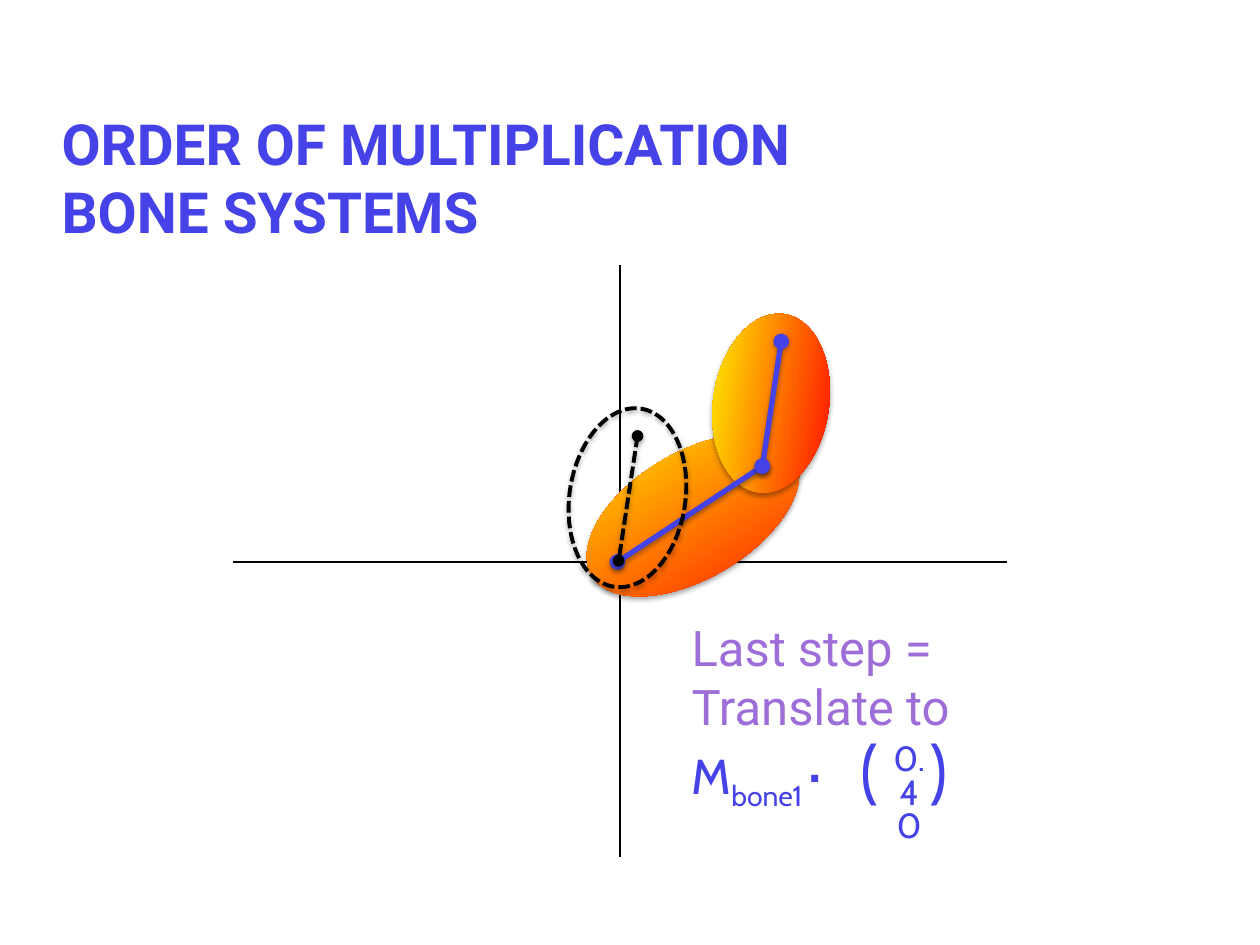
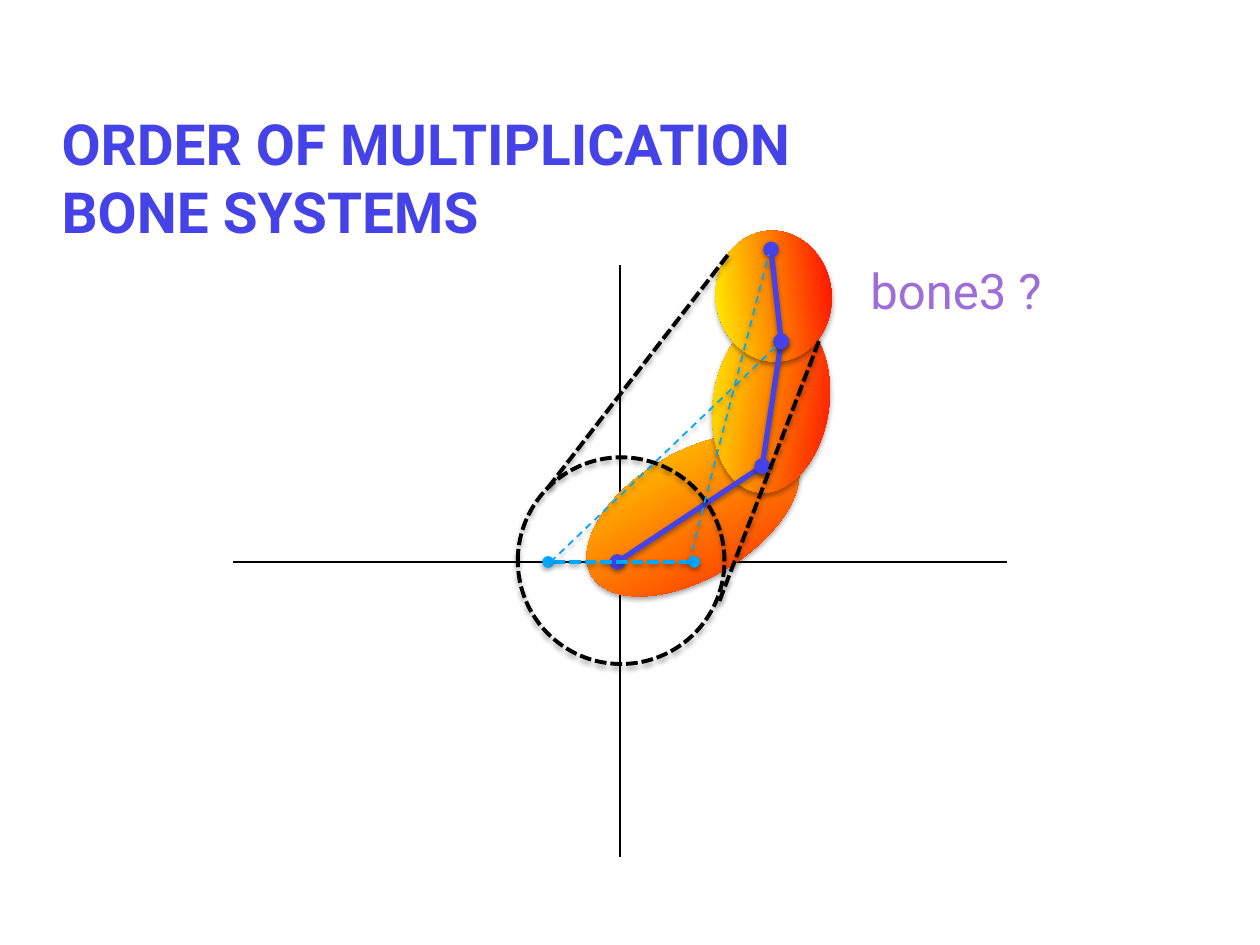
from lxml import etree
from pptx import Presentation
from pptx.dml.color import RGBColor
from pptx.enum.dml import MSO_LINE
from pptx.enum.shapes import MSO_CONNECTOR, MSO_SHAPE
from pptx.enum.text import MSO_ANCHOR, PP_ALIGN
from pptx.oxml.ns import qn
from pptx.util import Inches, Pt

OVAL, LINE = MSO_SHAPE.OVAL, MSO_CONNECTOR.STRAIGHT
SYS, DASH = MSO_LINE.SQUARE_DOT, MSO_LINE.DASH
TOP, MID = MSO_ANCHOR.TOP, MSO_ANCHOR.MIDDLE
LEFT, MIDDLE = PP_ALIGN.LEFT, PP_ALIGN.CENTER

# Slide grid: 10 columns by 7.5 rows
WIDTH, HEIGHT = Inches(10), Inches(7.5)
COL, ROW = WIDTH / 10, HEIGHT / 7.5

BLUE, PURPLE, SKY, BLACK = "4543E8", "9D6DD8", "00A7FF", "000000"
RED, YELLOW = "FF0000", "FFFF00"
HEAD, MATH = "Roboto", "Cabin"

# Plot box, and the origin where its axes cross
PLOT = (1.85, 2.1, 6.14, 4.7)
ORIGIN = (4.92, 4.46)

# Joints and limbs, measured from the origin
ROOT, ELBOW, WRIST, TIP = (-.02, 0), (1.13, -.76), (1.28, -1.75), (1.2, -2.48)
LOWER = ((.58, -.37), (1.87, 1), 329.2)
UPPER = ((1.2, -1.26), (1.43, .92), 278.5)
HAND = ((1.22, -2.11), (1.04, .92), 263.5)


def color(code):
    return RGBColor.from_string(code)


def grid(x, y):
    return round(x * COL), round(y * ROW)


def move(point, by, sign=1):
    return point[0] + sign * by[0], point[1] + sign * by[1]


def effect(shape, alpha=0, dist=1.6):
    """Give the shape a soft shadow below it, or none if alpha is 0."""
    props = shape._element.spPr
    for old in props.findall(qn("a:effectLst")):
        props.remove(old)
    effects = etree.SubElement(props, qn("a:effectLst"))
    if alpha:
        shade = etree.SubElement(effects, qn("a:outerShdw"), blurRad=str(Pt(3.1)),
                                 dist=str(Pt(dist)), dir="5400000", rotWithShape="0")
        tint = etree.SubElement(shade, qn("a:srgbClr"), val=BLACK)
        etree.SubElement(tint, qn("a:alpha"), val=str(alpha * 1000))


def text(slide, box, lines, size=28, font=HEAD, fill=BLUE, bold=False,
         align=LEFT, anchor=TOP, space=None, bottom=.05):
    """Each line is a list of (words, run attributes, size or None)."""
    frame = slide.shapes.add_textbox(*grid(*box[:2]), *grid(*box[2:])).text_frame
    frame.word_wrap = True
    frame.vertical_anchor = anchor
    frame.margin_bottom = round(bottom * ROW)
    for i, line in enumerate(lines):
        para = frame.add_paragraph() if i else frame.paragraphs[0]
        para.alignment, para.line_spacing = align, space
        for words, attrs, own in [(line, {}, None)] if isinstance(line, str) else line:
            run = para.add_run()
            run.text = words
            run.font.name, run.font.bold = font, bold
            run.font.size = Pt(own or size)
            run.font.color.rgb = color(fill)
            for key, value in attrs.items():
                run._r.get_or_add_rPr().set(key, value)


def stroke(line, fill, width, dash=None):
    line.color.rgb = color(fill)
    line.width = Pt(width)
    if dash:
        line.dash_style = dash


def link(slide, start, end, fill=BLACK, width=2.25, dash=None, dots=False, shade=38):
    """Draw a line between two points measured from the origin."""
    line = slide.shapes.add_connector(LINE, *grid(*move(ORIGIN, start)),
                                      *grid(*move(ORIGIN, end)))
    stroke(line.line, fill, width, dash)
    if dots:
        for tag in ("a:headEnd", "a:tailEnd"):
            etree.SubElement(line._element.spPr.find(qn("a:ln")), qn(tag), type="oval")
    effect(line, shade)


def oval(slide, center, size, turn=0, ghost=False):
    """Draw a limb, or its dashed outline, around a point from the origin."""
    mid = move(ORIGIN, center)
    corner = move(mid, (size[0] / 2, size[1] / 2), -1)
    shape = slide.shapes.add_shape(OVAL, *grid(*corner), *grid(*size))
    shape.rotation = turn
    if ghost:
        shape.fill.background()
        stroke(shape.line, BLACK, 2.25, SYS)
    else:
        shape.fill.gradient()
        shape.fill.gradient_angle = 90
        for stop, code in zip(shape.fill.gradient_stops, (RED, YELLOW)):
            stop.color.rgb = color(code)
        shape.line.fill.background()
    effect(shape, 35, 1.8)


def bone(slide, start, end):
    link(slide, start, end, BLUE, 3, dots=True)


def title(slide, box):
    text(slide, box, ["ORDER OF MULTIPLICATION", "BONE SYSTEMS"], size=32.4,
         bold=True, anchor=MID, bottom=.55)


def axes(slide, box):
    left, top = move(box[:2], ORIGIN, -1)
    link(slide, (left, 0), (left + box[2], 0), width=1.5, shade=0)
    link(slide, (0, top), (0, top + box[3]), width=1.5, shade=0)


def base(deck):
    """Start a slide with the title, axes and first two limbs."""
    slide = deck.slides.add_slide(deck.slide_layouts[6])
    title(slide, (.39, 1.03, 9, 1.25))
    axes(slide, PLOT)
    oval(slide, *LOWER)
    oval(slide, *UPPER)
    bone(slide, ROOT, ELBOW)
    return slide


def formula(slide, box):
    """Place the note, matrix name and column vector in the box."""
    x, y, w, h = box
    text(slide, (x, y, w, 1.04), ["Last step =", "Translate to"], fill=PURPLE)
    text(slide, (x, y + .96, 1.48, .64),
         [[("M", {}, None), ("bone1 ", {"baseline": "-25000"}, None), ("·", {}, 32)]],
         font=MATH)
    text(slide, (x + 1.34, y + .87, 1.05, .77),
         [[("( ", {"spc": "1000"}, None), (")", {}, None)]], size=40, font=MATH)
    text(slide, (x + 1.53, y + 1.01, .59, .65), ["0.4", "0"], size=20, font=MATH,
         align=MIDDLE, space=.8)


def last(deck):
    """Last step: the second limb moves from the origin to the elbow."""
    slide = base(deck)
    bone(slide, ELBOW, WRIST)
    center, size, turn = UPPER
    oval(slide, move(center, (1.14, -.75), -1), size, turn, ghost=True)
    start = (-.01, -.01)
    link(slide, start, move(start, move(WRIST, ELBOW, -1)), dash=SYS, dots=True)
    formula(slide, (5.39, 4.85, 2.41, 1.66))


def third(deck):
    """Third bone: its rest pose is projected to the end of the arm."""
    slide = base(deck)
    text(slide, (6.81, 2.02, 1.66, .57), ["bone3 ?"], fill=PURPLE)
    # Rest pose
    oval(slide, (.01, -.01), (1.64, 1.64), ghost=True)
    link(slide, (-.57, 0), (.59, 0), SKY, dash=SYS, dots=True)
    # Rest of the arm
    oval(slide, *HAND)
    bone(slide, ELBOW, WRIST)
    bone(slide, WRIST, TIP)
    # Guides from the rest pose to the hand
    for start, end in (((-.57, -.59), (.86, -2.44)), ((.79, .31), (1.59, -1.78))):
        link(slide, start, end, dash=SYS)
    for start, end in (((-.55, 0), (1.26, -1.73)), ((.55, 0), (1.18, -2.44))):
        link(slide, start, end, SKY, 1, DASH)


def main():
    deck = Presentation()
    deck.slide_width, deck.slide_height = WIDTH, HEIGHT
    last(deck)
    third(deck)
    deck.save("out.pptx")


if __name__ == "__main__":
    main()
